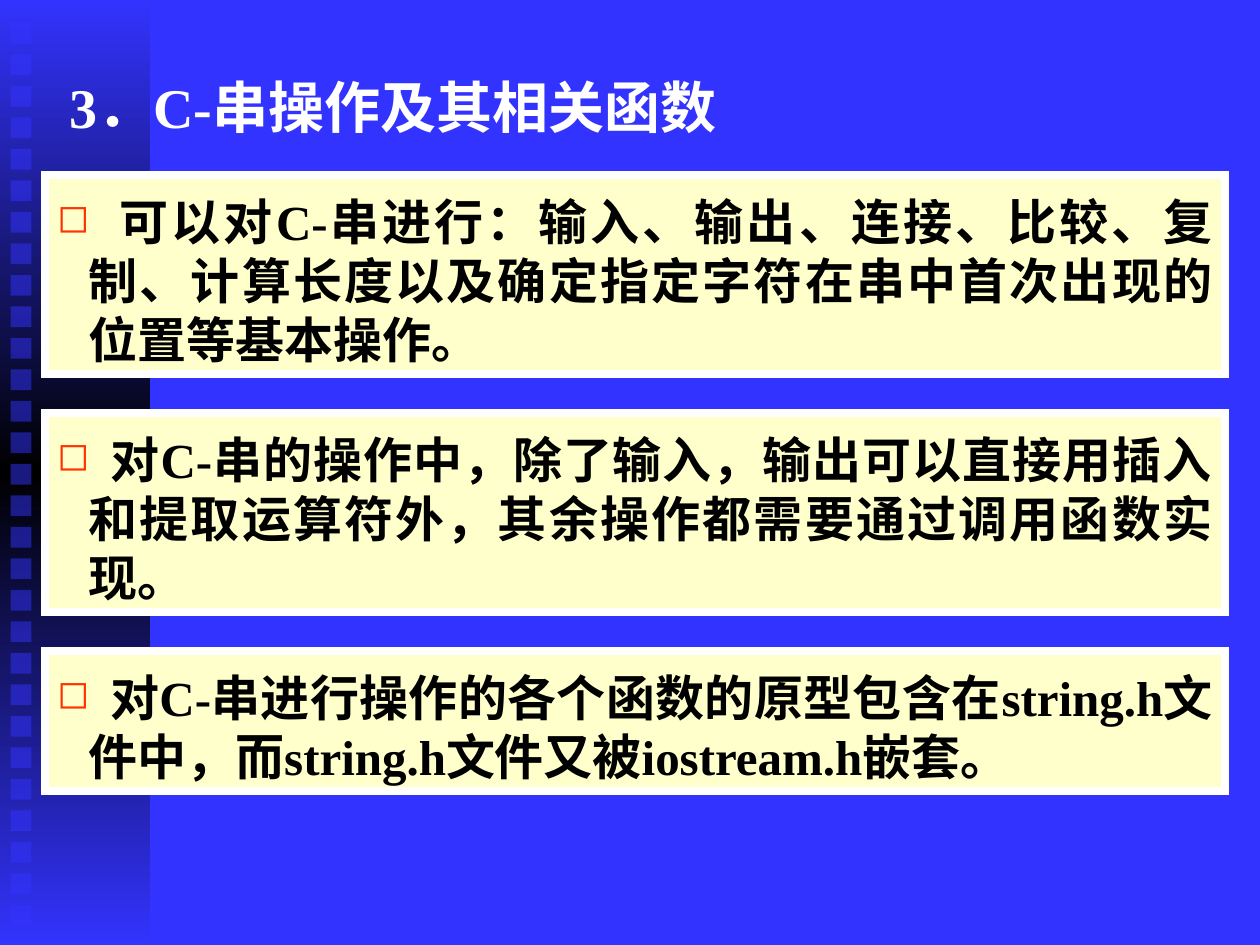
from dataclasses import dataclass

from lxml.etree import SubElement
from pptx import Presentation
from pptx.dml.color import RGBColor
from pptx.enum.shapes import MSO_SHAPE
from pptx.enum.text import MSO_ANCHOR, MSO_AUTO_SIZE, PP_ALIGN
from pptx.oxml.ns import qn
from pptx.util import Pt

BLUE, BLACK, WHITE, CREAM, ORANGE = "3333FF", "000000", "FFFFFF", "FFFFCC", "FF3300"
FONT = "Times New Roman"
SQUARE_COUNT, SQUARE_PITCH = 29, 18


@dataclass
class Card:
    top: float
    height: float
    text_start: float
    text: str


CARDS = [
    Card(100, 114, 34, "可以对C-串进行：输入、输出、连接、比较、复制、计算长度以及确定指定字符在串中首次出现的位置等基本操作。"),
    Card(236, 114, 30, "对C-串的操作中，除了输入，输出可以直接用插入和提取运算符外，其余操作都需要通过调用函数实现。"),
    Card(372, 80, 30, "对C-串进行操作的各个函数的原型包含在string.h文件中，而string.h文件又被iostream.h嵌套。"),
]


def rgb(value: str) -> RGBColor:
    return RGBColor.from_string(value)


def set_all(target, values: dict) -> None:
    for name, value in values.items():
        setattr(target, name, value)


def add_rect(s, left: float, top: float, width: float, height: float, fill: str):
    sp = s.shapes.add_shape(MSO_SHAPE.RECTANGLE, Pt(left), Pt(top), Pt(width), Pt(height))
    sp.shadow.inherit = False
    sp.fill.solid()
    sp.fill.fore_color.rgb = rgb(fill)
    sp.line.fill.background()
    return sp


def add_run(p, text: str, size: float, color: str, bold: bool) -> None:
    r = p.add_run()
    r.text = text
    set_all(r.font, {"name": FONT, "size": Pt(size), "bold": bold})
    r.font.color.rgb = rgb(color)


def add_band(s) -> None:
    sp = add_rect(s, 0, 0, 86, 540, BLUE)
    solid = sp._element.spPr.find(qn("a:solidFill"))
    grad = solid.makeelement(qn("a:gradFill"), {"rotWithShape": "1"})
    stops = SubElement(grad, qn("a:gsLst"))
    for percent, color in ((0, BLUE), (50, BLACK), (100, BLUE)):
        stop = SubElement(stops, qn("a:gs"), pos=str(percent * 1000))
        SubElement(stop, qn("a:srgbClr"), val=color)
    SubElement(grad, qn("a:lin"), ang="5400000", scaled="1")
    solid.getparent().replace(solid, grad)


def add_square(s, top: float) -> None:
    sp = add_rect(s, 6, top, 12, 12, BLUE)
    color = sp._element.spPr.find(qn("a:solidFill")).find(qn("a:srgbClr"))
    SubElement(color, qn("a:alpha"), val="50000")


def add_title(s) -> None:
    tf = s.shapes.add_textbox(Pt(25.5), Pt(38), Pt(612), Pt(37.5)).text_frame
    tf.word_wrap = True
    p = tf.paragraphs[0]
    add_run(p, " ", 28, WHITE, False)
    add_run(p, "3．C-串操作及其相关函数", 32, WHITE, True)


def add_bullet(p, text_start: float) -> None:
    pPr = p._p.get_or_add_pPr()
    for name, value in {"marL": Pt(18), "indent": Pt(-18), "hangingPunct": 0}.items():
        pPr.set(name, str(value))
    SubElement(SubElement(pPr, qn("a:buClr")), qn("a:srgbClr"), val=ORANGE)
    SubElement(pPr, qn("a:buSzPct"), val="80000")
    SubElement(pPr, qn("a:buChar"), char="◻")
    SubElement(SubElement(pPr, qn("a:tabLst")), qn("a:tab"), pos=str(Pt(text_start)), algn="l")


def add_card(s, card: Card) -> None:
    sp = add_rect(s, 25.5, card.top, 674.5, card.height, CREAM)
    sp.line.color.rgb = rgb(WHITE)
    sp.line.width = Pt(4.5)
    SubElement(sp._element.spPr.find(qn("a:ln")), qn("a:miter"), lim="800000")
    tf = sp.text_frame
    set_all(tf, {
        "word_wrap": True,
        "auto_size": MSO_AUTO_SIZE.SHAPE_TO_FIT_TEXT,
        "vertical_anchor": MSO_ANCHOR.TOP,
        "margin_top": Pt(9.36),
    })
    p = tf.paragraphs[0]
    p.alignment = PP_ALIGN.JUSTIFY
    add_bullet(p, card.text_start)
    add_run(p, "\t" + card.text, 28, BLACK, True)


def main() -> None:
    prs = Presentation()
    set_all(prs, {"slide_width": Pt(720), "slide_height": Pt(540)})
    s = prs.slides.add_slide(prs.slide_layouts[6])
    s.background.fill.solid()
    s.background.fill.fore_color.rgb = rgb(BLUE)
    add_band(s)
    for i in range(SQUARE_COUNT):
        add_square(s, 13 + SQUARE_PITCH * i)
    add_title(s)
    for card in CARDS:
        add_card(s, card)
    prs.save("out.pptx")


if __name__ == "__main__":
    main()
